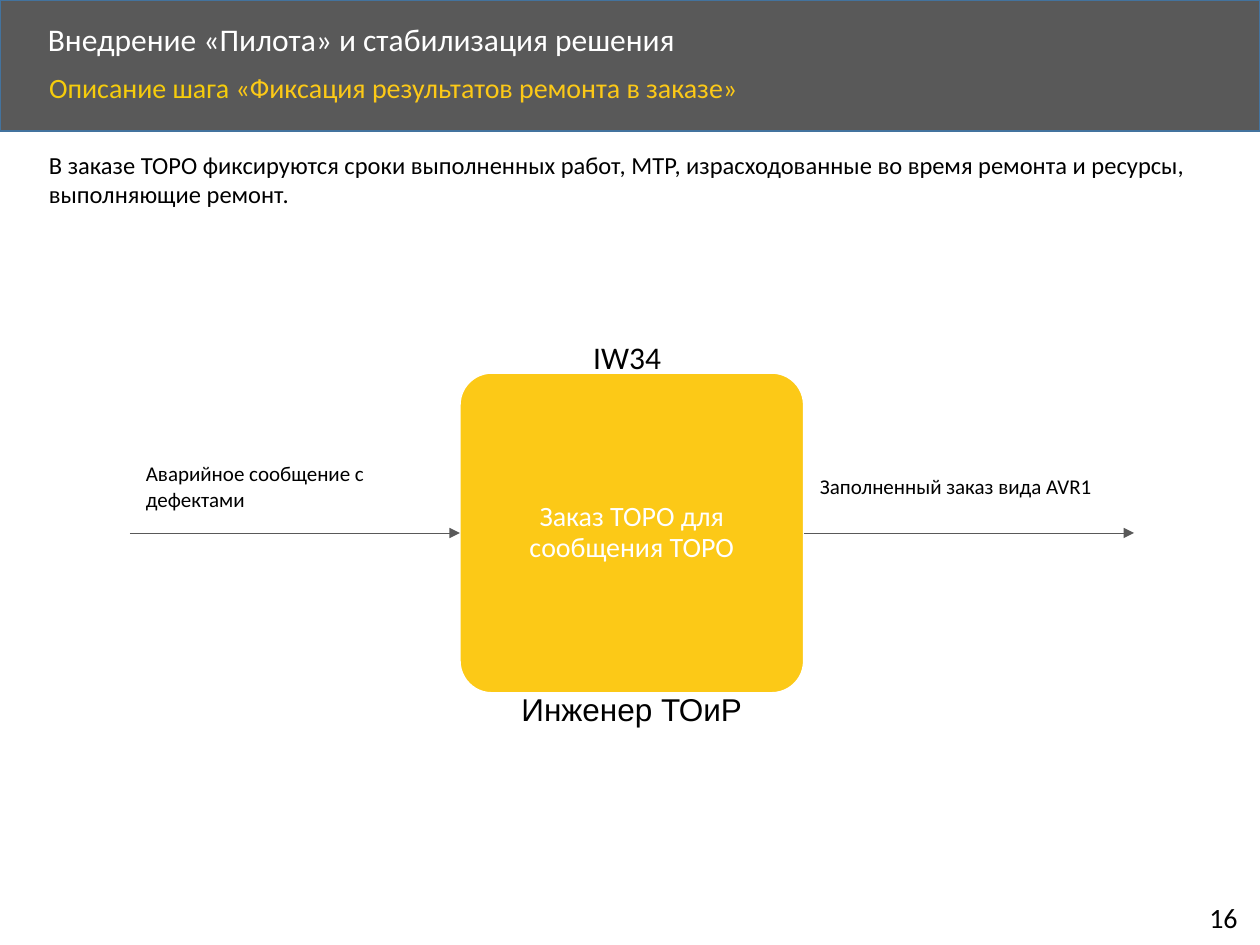
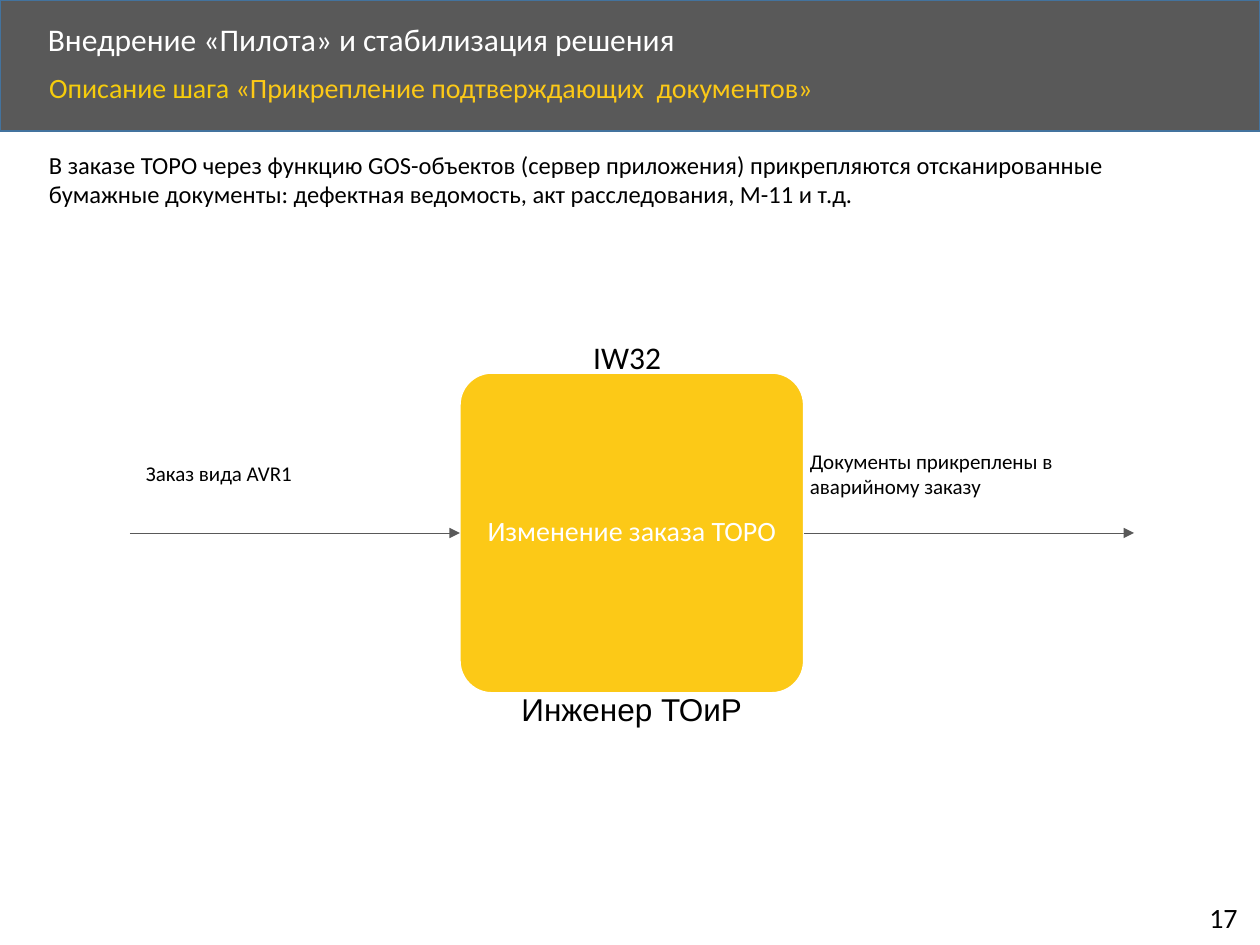
from lxml import etree
from pptx import Presentation
from pptx.dml.color import RGBColor
from pptx.enum.shapes import MSO_CONNECTOR, MSO_SHAPE
from pptx.enum.text import MSO_ANCHOR, MSO_AUTO_SIZE, PP_ALIGN
from pptx.oxml.ns import qn
from pptx.util import Inches, Pt

STRAIGHT = MSO_CONNECTOR.STRAIGHT
RECT, ROUNDED = MSO_SHAPE.RECTANGLE, MSO_SHAPE.ROUNDED_RECTANGLE
TOP, MIDDLE, BOTTOM = MSO_ANCHOR.TOP, MSO_ANCHOR.MIDDLE, MSO_ANCHOR.BOTTOM
LEFT, CENTER = PP_ALIGN.LEFT, PP_ALIGN.CENTER

# The slide is a grid of 100 columns by 75 rows of square cells.
COLS, ROWS = 100, 75
CELL = Inches(0.1)
LEFT_SIDE, RIGHT_SIDE = 1, 3

COLORS = {
    "band": "595959",
    "band_line": "43739E",
    "accent": "FCC917",
    "subtitle": "F6CC0C",
    "white": "FFFFFF",
    "black": "000000",
}
TITLE = "Внедрение «Пилота» и стабилизация решения"
ROLE = "Инженер ТОиР"

STEPS = [
    {
        "number": 16,
        "name": "«Фиксация результатов ремонта в заказе»",
        "summary": "В заказе ТОРО фиксируются сроки выполненных работ, МТР, "
                   "израсходованные во время ремонта и ресурсы, выполняющие ремонт.",
        "transaction": "IW34",
        "action": "Заказ ТОРО для сообщения ТОРО",
        "input": "Аварийное сообщение с дефектами",
        "output": "Заполненный заказ вида AVR1",
        "output_col": 64.1,
    },
    {
        "number": 17,
        "name": "«Прикрепление подтверждающих  документов»",
        "summary": "В заказе ТОРО через функцию GOS-объектов (сервер приложения) "
                   "прикрепляются отсканированные бумажные документы: дефектная "
                   "ведомость, акт расследования, М-11 и т.д.",
        "transaction": "IW32",
        "action": "Изменение заказа ТОРО",
        "input": "Заказ вида AVR1",
        "output": "Документы прикреплены в аварийному заказу",
        "output_col": 63.3,
    },
]


def cells(*counts):
    return [round(n * CELL) for n in counts]


def rgb(name):
    return RGBColor.from_string(COLORS[name])


def write(sp, *parts, size=18, font="Calibri", align=LEFT, anchor=TOP,
          spacing=None, wrap=True, inset=None):
    """Fill one paragraph with (text, colour) parts."""
    tf = sp.text_frame
    tf.word_wrap = wrap
    tf.auto_size = MSO_AUTO_SIZE.NONE
    tf.vertical_anchor = anchor
    if inset is not None:
        tf.margin_left = tf.margin_right = tf.margin_top = tf.margin_bottom = inset
    p = tf.paragraphs[0]
    p.alignment = align
    p.space_before = Pt(0)
    p.line_spacing = spacing
    for text, color in parts:
        r = p.add_run()
        r.text = text
        r.font.name, r.font.size = font, Pt(size)
        r.font.color.rgb = rgb(color)


def add_label(slide, text, at, **style):
    sp = slide.shapes.add_textbox(*cells(*at))
    write(sp, (text, "black"), **style)


def add_block(slide, kind, at, fill, line):
    sp = slide.shapes.add_shape(kind, *cells(*at))
    sp.shadow.inherit = False
    sp.fill.solid()
    sp.fill.fore_color.rgb = rgb(fill)
    sp.line.color.rgb = rgb(line)
    sp.line.width = Pt(1)
    return sp


def add_arrow(slide, start, end):
    cxn = slide.shapes.add_connector(STRAIGHT, *start, *end)
    cxn.line.color.rgb = rgb("band")
    cxn.line.width = Pt(0.5)
    etree.SubElement(cxn.line._get_or_add_ln(), qn("a:tailEnd"), type="triangle")
    etree.SubElement(cxn._element.spPr, qn("a:effectLst"))
    return cxn


def place(sp, *at):
    sp.left, sp.top, sp.width, sp.height = cells(*at)


def add_header(slide, step_name):
    band = add_block(slide, RECT, (0, 0, COLS, 10.4), "band", "band_line")
    slide.shapes._spTree.insert(2, band._element)  # behind the placeholders

    title, body = slide.shapes.title, slide.placeholders[1]
    place(title, 2.8, 1.4, 80.7, 3.8)
    write(title, (TITLE, "white"), anchor=MIDDLE, spacing=0.9)

    place(body, 2.9, 5.4, 86.5, 4.5)
    pPr = body.text_frame.paragraphs[0]._p.get_or_add_pPr()
    pPr.set("marL", "0")
    pPr.set("indent", "0")
    etree.SubElement(pPr, qn("a:buNone"))
    write(body, ("Описание шага ", "subtitle"), (step_name, "accent"),
          size=16, spacing=0.9)


def add_process(slide, step):
    """Draw the action box with its input and output arrows and captions."""
    box = add_block(slide, ROUNDED, (36.5, 29.6, 27.3, 25.4), "accent", "white")
    box.adjustments[0] = 0.1
    write(box, (step["action"], "white"), size=16, align=CENTER,
          anchor=MIDDLE, spacing=0.9, inset=Inches(0.07))

    middle = box.top + box.height // 2
    reach = Inches(2.62)
    right = box.left + box.width
    add_arrow(slide, (box.left - reach, middle),
              (box.left, middle)).end_connect(box, LEFT_SIDE)
    add_arrow(slide, (right, middle),
              (right + reach, middle)).begin_connect(box, RIGHT_SIDE)

    add_label(slide, step["transaction"], (46.1, 26.3, 7.5, 4), wrap=False)
    add_label(slide, step["input"], (10.6, 36.1, 25.6, 5), size=12)
    add_label(slide, step["output"], (step["output_col"], 35.1, 25.7, 5),
              size=12, anchor=BOTTOM)
    add_label(slide, ROLE, (40.4, 54.3, 19.7, 4), font="Arial")


def add_step_slide(prs, step):
    slide = prs.slides.add_slide(prs.slide_layouts[1])
    add_header(slide, step["name"])
    add_label(slide, step["summary"], (2.9, 11.4, 94.6, 5.7), size=14)
    add_process(slide, step)
    add_label(slide, str(step["number"]), (95, 71, 4.6, 3.7), size=16, wrap=False)


def main():
    prs = Presentation()
    prs.slide_width, prs.slide_height = cells(COLS, ROWS)
    for step in STEPS:
        add_step_slide(prs, step)
    prs.save("out.pptx")


if __name__ == "__main__":
    main()
